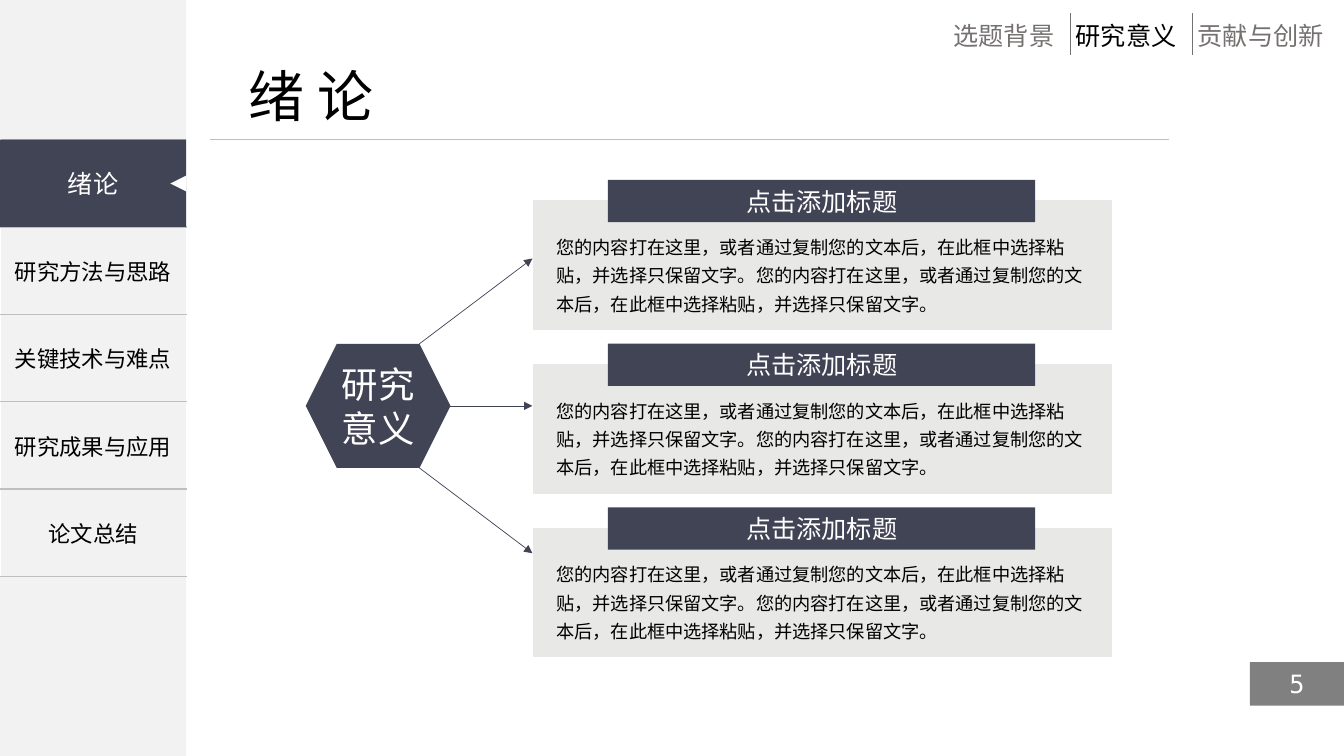
from dataclasses import dataclass

from lxml.etree import SubElement
from pptx import Presentation
from pptx.dml.color import RGBColor
from pptx.enum.shapes import MSO_CONNECTOR, MSO_SHAPE
from pptx.enum.text import MSO_ANCHOR, MSO_AUTO_SIZE, PP_ALIGN
from pptx.oxml.ns import qn
from pptx.util import Inches, Pt

WIDTH, HEIGHT = Inches(13.333), Inches(7.5)


@dataclass(frozen=True)
class Theme:
    font: str = "Noto Sans CJK SC"
    number_font: str = "DejaVu Sans Mono"
    navy: str = "414455"
    sidebar: str = "F2F2F2"
    card: str = "E8E8E6"
    rule: str = "BFBFBF"
    muted: str = "767171"
    badge: str = "808080"
    white: str = "FFFFFF"
    black: str = "000000"
    title_size: int = 40
    hub_size: int = 26
    heading_size: int = 18
    menu_size: int = 16
    body_size: int = 13


THEME = Theme()

# Sidebar and menu, in percent of the slide
SIDEBAR_WIDTH = 13.86
MENU_TOP, MENU_ROW = 18.49, 11.55
MENU = ["研究方法与思路", "关键技术与难点", "研究成果与应用", "论文总结"]

# Section navigation
SECTIONS = ["选题背景", "研究意义", "贡献与创新"]
ACTIVE_SECTION = 1
SECTION_LEFT, SECTION_STEP = 70.57, 9.09

# Cards and hub
CARD_LEFT, CARD_TOP, CARD_STEP, CARD_COUNT = 39.62, 26.4, 21.65, 3
HUB_LEFT, HUB_TOP, HUB_WIDTH, HUB_HEIGHT = 22.75, 45.49, 10.77, 16.4
HUB_CORNER = 31.2
ARROW_SPREAD = 19.5
CARD_HEADING = "点击添加标题"
CARD_BODY = "您的内容打在这里，或者通过复制您的文本后，在此框中选择粘贴，并选择只保留文字。" * 2


def across(share):
    return round(WIDTH * share / 100)


def down(share):
    return round(HEIGHT * share / 100)


def box(left, top, width, height):
    return across(left), down(top), across(width), down(height)


def write(frame, text, size, color, align=PP_ALIGN.CENTER, anchor=MSO_ANCHOR.MIDDLE,
          font=THEME.font, wrap=True, spacing=None, margin=0.05):
    frame.auto_size = MSO_AUTO_SIZE.NONE
    frame.word_wrap = wrap
    frame.vertical_anchor = anchor
    frame.margin_left = frame.margin_right = Inches(margin)
    frame.margin_top = frame.margin_bottom = Inches(margin)
    write_paragraph(frame.paragraphs[0], text, size, color, align, font, spacing)


def write_paragraph(paragraph, text, size, color, align, font=THEME.font, spacing=None):
    paragraph.alignment = align
    # Punctuation stays inside the text box
    paragraph._p.get_or_add_pPr().set("hangingPunct", "0")
    if spacing:
        paragraph.line_spacing = spacing
    run = paragraph.add_run()
    run.text = text
    run.font.size = Pt(size)
    run.font.color.rgb = RGBColor.from_string(color)
    run.font.name = font
    SubElement(run.font._element, qn("a:ea"), typeface=font)


def add_block(slide, kind, area, fill, outline=None):
    shape = slide.shapes.add_shape(kind, *area)
    shape.shadow.inherit = False
    shape.fill.solid()
    shape.fill.fore_color.rgb = RGBColor.from_string(fill)
    if outline:
        shape.line.color.rgb = RGBColor.from_string(outline)
        shape.line.width = Pt(1)
    else:
        shape.line.fill.background()
    return shape


def add_text(slide, area, text, size, color, **options):
    write(slide.shapes.add_textbox(*area).text_frame, text, size, color, **options)


def add_line(slide, start, end, color, arrow=False):
    line = slide.shapes.add_connector(
        MSO_CONNECTOR.STRAIGHT, across(start[0]), down(start[1]), across(end[0]), down(end[1]))
    line.line.color.rgb = RGBColor.from_string(color)
    line.line.width = Pt(0.5)
    if arrow:
        SubElement(line.line._get_or_add_ln(), qn("a:tailEnd"), type="triangle")
    SubElement(line._element.spPr, qn("a:effectLst"))


def add_title(slide, text):
    title = slide.shapes.title
    title.left, title.top, title.width, title.height = box(18.15, 7.47, 10.35, 11.73)
    write(title.text_frame, text, THEME.title_size, THEME.black,
          align=PP_ALIGN.LEFT, anchor=MSO_ANCHOR.TOP, wrap=False)
    add_line(slide, (15.65, MENU_TOP), (87, MENU_TOP), THEME.rule)


def add_sections(slide):
    for index, name in enumerate(SECTIONS):
        left = SECTION_LEFT + index * SECTION_STEP
        color = THEME.black if index == ACTIVE_SECTION else THEME.muted
        add_text(slide, box(left, 2, 2.08 * len(name), 6), name, THEME.heading_size, color,
                 align=PP_ALIGN.LEFT, anchor=MSO_ANCHOR.TOP, wrap=False)
        if index:
            add_line(slide, (left, 1.75), (left, 7.25), THEME.muted)


def style_cell(cell):
    cell.vertical_anchor = MSO_ANCHOR.MIDDLE
    cell.margin_left = cell.margin_right = Inches(0.05)
    cell.margin_top = cell.margin_bottom = Inches(0.05)
    properties = cell._tc.get_or_add_tcPr()
    for side in ("a:lnT", "a:lnB"):
        border = SubElement(properties, qn(side), w=str(Pt(1)))
        fill = SubElement(border, qn("a:solidFill"))
        SubElement(fill, qn("a:srgbClr"), val=THEME.rule)
    cell.fill.background()


def add_menu(slide):
    # The first row lies under the active tab
    rows = len(MENU) + 1
    table = slide.shapes.add_table(
        rows, 1, *box(0, MENU_TOP, SIDEBAR_WIDTH, MENU_ROW * rows)).table
    table.first_row = table.horz_banding = False
    for index in range(rows):
        table.rows[index].height = down(MENU_ROW)
        cell = table.cell(index, 0)
        style_cell(cell)
        if index:
            write_paragraph(cell.text_frame.paragraphs[0], MENU[index - 1],
                            THEME.menu_size, THEME.black, PP_ALIGN.CENTER)

    # Active tab with its pointer
    tab = add_block(slide, MSO_SHAPE.RECTANGLE,
                    box(0, MENU_TOP, SIDEBAR_WIDTH, MENU_ROW), THEME.navy)
    write(tab.text_frame, "绪论", THEME.heading_size, THEME.white)
    pointer = add_block(slide, MSO_SHAPE.ISOSCELES_TRIANGLE,
                        box(12.68, 23.2, 1.2, 2.13), THEME.white)
    pointer.rotation = 270


def add_page_number(slide, number):
    badge = add_block(slide, MSO_SHAPE.RECTANGLE, box(93, 87.6, 7, 5.73), THEME.badge)
    write(badge.text_frame, number, THEME.heading_size, THEME.white, font=THEME.number_font)


def add_card(slide, top):
    add_block(slide, MSO_SHAPE.RECTANGLE, box(CARD_LEFT, top, 43.15, 17.33),
              THEME.card, outline=THEME.white)
    heading = add_block(slide, MSO_SHAPE.RECTANGLE, box(45.23, top - 2.6, 31.8, 5.6), THEME.navy)
    write(heading.text_frame, CARD_HEADING, THEME.heading_size, THEME.white)
    add_text(slide, box(41.1, top + 3.45, 41.03, 13.07), CARD_BODY, THEME.body_size, THEME.black,
             align=PP_ALIGN.LEFT, anchor=MSO_ANCHOR.TOP, spacing=1.3, margin=0.04)


def add_hub(slide):
    add_block(slide, MSO_SHAPE.HEXAGON,
              box(HUB_LEFT, HUB_TOP, HUB_WIDTH, HUB_HEIGHT), THEME.navy)
    add_text(slide, box(24.42, 46.27, 7.43, 14.8), "研究意义", THEME.hub_size, THEME.white,
             margin=0.04)
    middle = HUB_TOP + HUB_HEIGHT / 2
    for side in (-1, 0, 1):
        start_left = HUB_CORNER if side else HUB_LEFT + HUB_WIDTH
        add_line(slide, (start_left, middle + side * HUB_HEIGHT / 2),
                 (CARD_LEFT, middle + side * ARROW_SPREAD), THEME.navy, arrow=True)


def main():
    presentation = Presentation()
    presentation.slide_width, presentation.slide_height = WIDTH, HEIGHT
    slide = presentation.slides.add_slide(presentation.slide_layouts[5])
    add_block(slide, MSO_SHAPE.RECTANGLE, box(0, 0, SIDEBAR_WIDTH, 100), THEME.sidebar)
    add_title(slide, "绪 论")
    add_sections(slide)
    add_menu(slide)
    add_page_number(slide, "5")
    for index in range(CARD_COUNT):
        add_card(slide, CARD_TOP + index * CARD_STEP)
    add_hub(slide)
    presentation.save("out.pptx")


if __name__ == "__main__":
    main()
